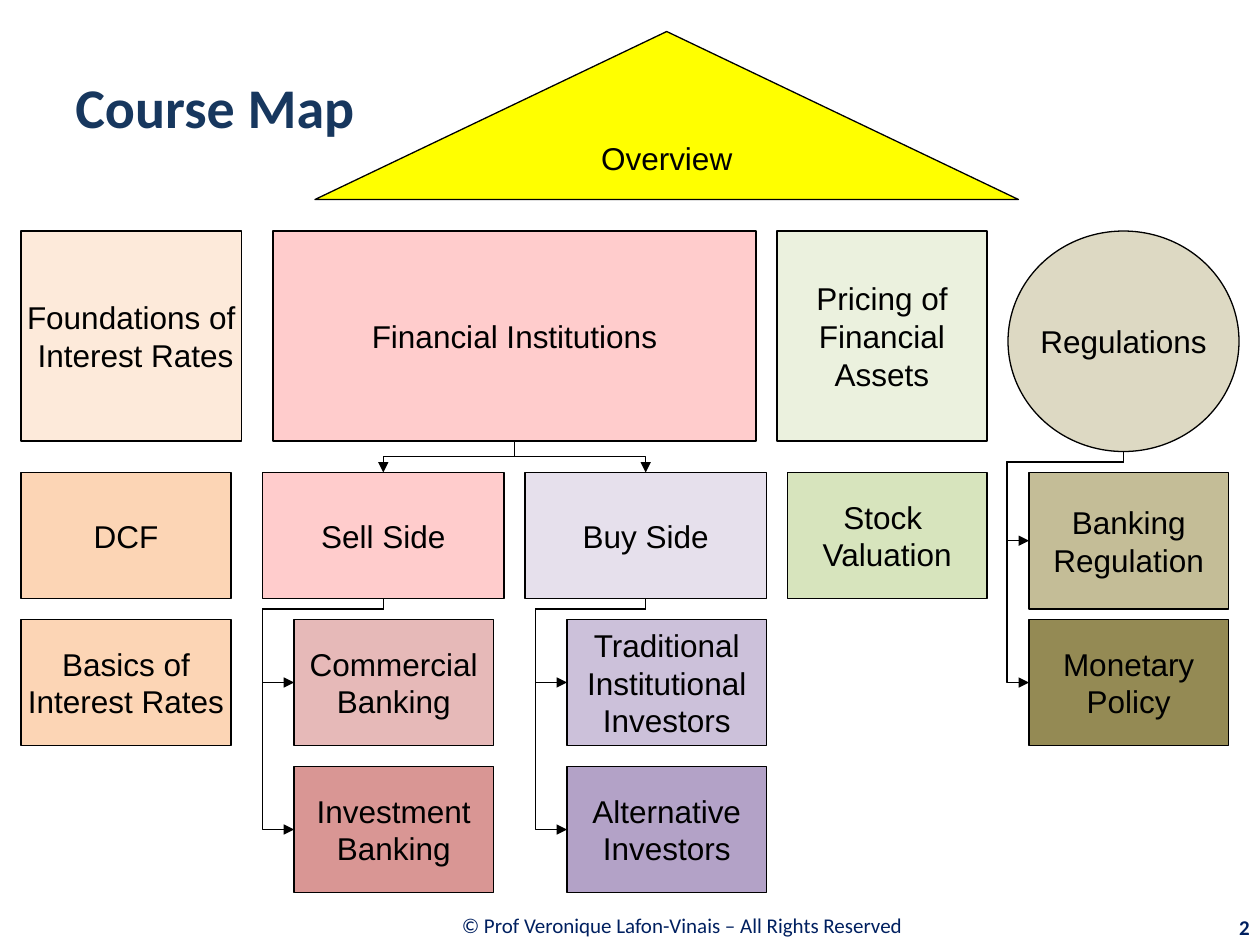
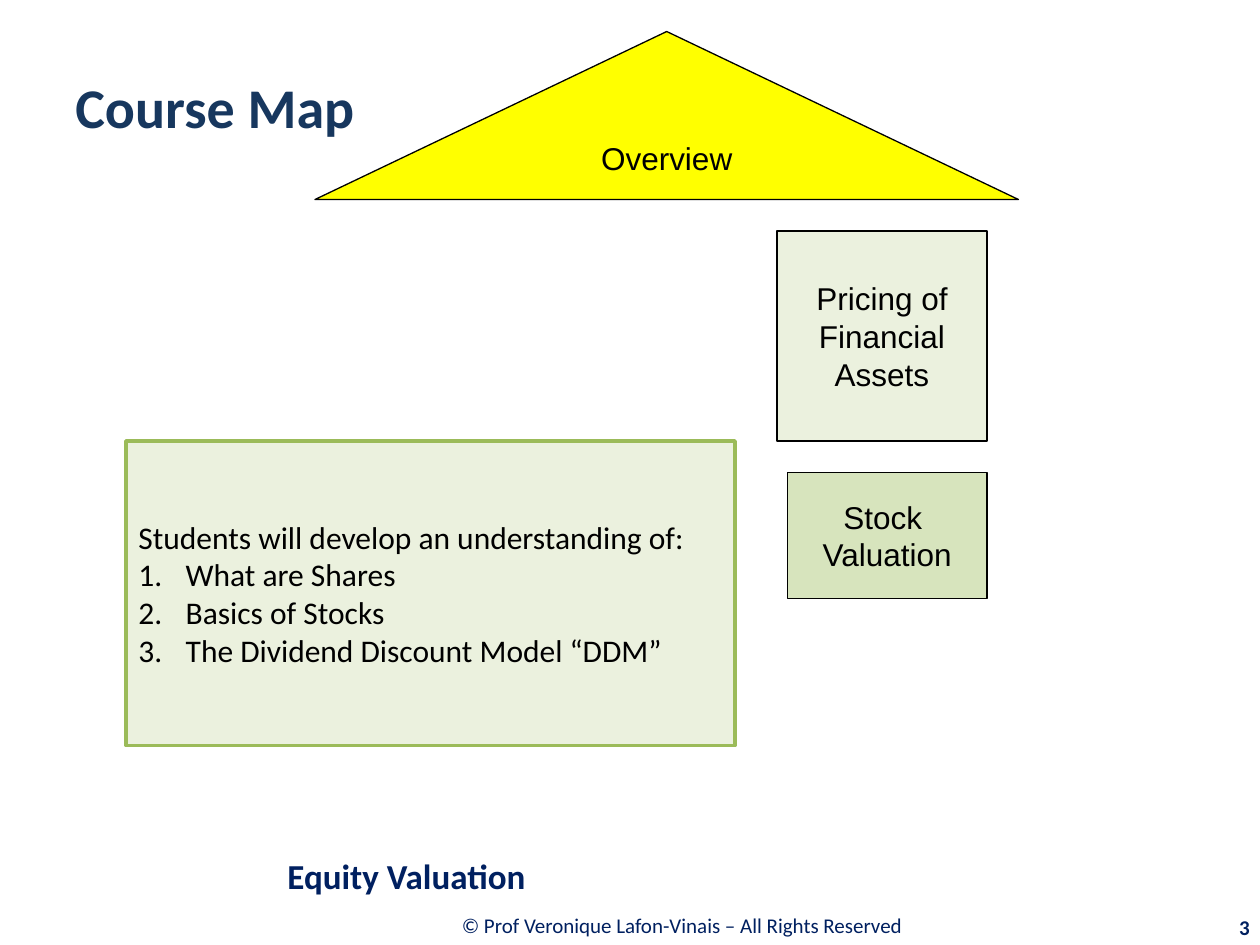
from lxml.etree import SubElement
from pptx import Presentation
from pptx.dml.color import RGBColor
from pptx.enum.shapes import MSO_CONNECTOR, MSO_SHAPE
from pptx.enum.text import MSO_ANCHOR, PP_ALIGN
from pptx.oxml.ns import qn
from pptx.util import Pt

PX = 7620  # EMU; 120 px to the inch
PAGE_WIDTH, PAGE_HEIGHT = 1200, 900

BLACK = RGBColor(0x00, 0x00, 0x00)
NAVY = RGBColor(0x00, 0x20, 0x60)
TITLE_BLUE = RGBColor(0x17, 0x37, 0x5E)
YELLOW = RGBColor(0xFF, 0xFF, 0x00)
PINK = RGBColor(0xFF, 0xCC, 0xCC)
ROSE = RGBColor(0xE6, 0xB9, 0xB8)
DARK_ROSE = RGBColor(0xD9, 0x96, 0x94)
PALE_LILAC = RGBColor(0xE6, 0xE0, 0xEC)
LILAC = RGBColor(0xCC, 0xC1, 0xDA)
PURPLE = RGBColor(0xB3, 0xA2, 0xC7)
PALE_ORANGE = RGBColor(0xFD, 0xEA, 0xDA)
ORANGE = RGBColor(0xFC, 0xD5, 0xB5)
PALE_GREEN = RGBColor(0xEB, 0xF1, 0xDE)
LIGHT_GREEN = RGBColor(0xD7, 0xE4, 0xBD)
GREEN = RGBColor(0x9B, 0xBB, 0x59)
PALE_TAN = RGBColor(0xDD, 0xD9, 0xC3)
TAN = RGBColor(0xC4, 0xBD, 0x97)
DARK_TAN = RGBColor(0x94, 0x8A, 0x54)

# Rows shared by the columns of the map
HEAD_TOP, SIDE_TOP, FIRST_TOP, SECOND_TOP = 220, 450, 590, 730
ROW_HEIGHT, HEAD_HEIGHT = 120, 200
LEAF_WIDTH = 190
NUMBER_INDENT = 45


def write(frame, text, font="Calibri", size=18, color=BLACK, bold=False,
          align=PP_ALIGN.LEFT, wrap=True, numbered_from=None):
    """Fill a frame, one paragraph a line; number those from numbered_from on."""
    frame.word_wrap = wrap
    frame.vertical_anchor = MSO_ANCHOR.MIDDLE
    for index, line in enumerate(text.split("\n")):
        para = frame.paragraphs[0] if index == 0 else frame.add_paragraph()
        para.alignment = align
        span = para.add_run()
        span.text = line
        span.font.name = font
        span.font.size = Pt(size)
        span.font.bold = bold
        span.font.color.rgb = color
        if numbered_from is not None and index >= numbered_from:
            properties = para._p.get_or_add_pPr()
            properties.set("marL", str(NUMBER_INDENT * PX))
            properties.set("indent", str(-NUMBER_INDENT * PX))
            SubElement(properties, qn("a:buAutoNum"), type="arabicPeriod")


class CourseDeck:
    def __init__(self):
        self.deck = Presentation()
        self.deck.slide_width = PAGE_WIDTH * PX
        self.deck.slide_height = PAGE_HEIGHT * PX
        self.page = None

    def new_page(self, number):
        """Start a slide with the title, footer, number and shared blocks."""
        self.page = self.deck.slides.add_slide(self.deck.slide_layouts[6])
        self.label("© Prof Veronique Lafon-Vinais – All Rights Reserved ",
                   263, 858, 778, 47, size=12, color=NAVY, align=PP_ALIGN.CENTER)
        self.label("Course Map", 60, 16, 310, 170, size=32, color=TITLE_BLUE, bold=True)
        self.label(str(number), 1081, 864, 121, 38, size=12, color=NAVY, bold=True,
                   align=PP_ALIGN.RIGHT)
        self.block("Overview", 300, 30, 670, 160, YELLOW, kind=MSO_SHAPE.FLOWCHART_EXTRACT)
        self.block("Pricing of Financial Assets", 740, HEAD_TOP, 200, HEAD_HEIGHT,
                   PALE_GREEN, wrap=True)
        self.block("Stock \nValuation", 750, SIDE_TOP, LEAF_WIDTH, ROW_HEIGHT, LIGHT_GREEN)

    def label(self, text, left, top, width, height, **style):
        box = self.page.shapes.add_textbox(left * PX, top * PX, width * PX, height * PX)
        write(box.text_frame, text, **style)

    def shape(self, left, top, width, height, fill, line, weight, kind):
        box = self.page.shapes.add_shape(kind, left * PX, top * PX, width * PX, height * PX)
        box.shadow.inherit = False
        box.fill.solid()
        box.fill.fore_color.rgb = fill
        box.line.color.rgb = line
        box.line.width = Pt(weight)
        return box

    def block(self, text, left, top, width, height, fill,
              kind=MSO_SHAPE.RECTANGLE, wrap=False):
        box = self.shape(left, top, width, height, fill, BLACK, 0.75, kind)
        write(box.text_frame, text, font="Arial", align=PP_ALIGN.CENTER, wrap=wrap)
        return box

    def leaf(self, text, left, top, fill, height=ROW_HEIGHT):
        return self.block(text, left, top, LEAF_WIDTH, height, fill, wrap=True)

    def panel(self, text, left, top, width, height, fill, line, **style):
        box = self.shape(left, top, width, height, fill, line, 2, MSO_SHAPE.RECTANGLE)
        write(box.text_frame, text, **style)

    def split(self, parent, children):
        """Lead arrows from below the parent to the top of each child."""
        for child in children:
            self.elbow(parent, child.left + child.width // 2, child.top,
                       "bentConnector3", lambda across, down: [0.5])

    def branch(self, parent, children, lane, drop=10):
        """Lead arrows down a lane left of the children and into their sides."""
        start = parent.left + parent.width // 2
        for child in children:
            self.elbow(parent, child.left, child.top + child.height // 2, "bentConnector4",
                       lambda across, down: [drop * PX / down, (start - lane * PX) / across])

    def elbow(self, parent, end_x, end_y, preset, bends):
        """Draw a bent arrow that leaves the parent downwards, as a turned preset."""
        start_x = parent.left + parent.width // 2
        start_y = parent.top + parent.height
        across, down = abs(end_x - start_x), end_y - start_y
        left = (start_x + end_x - down) // 2
        top = (start_y + end_y - across) // 2
        arrow = self.page.shapes.add_connector(
            MSO_CONNECTOR.ELBOW, left, top, left + down, top + across)
        arrow.line.color.rgb = BLACK
        arrow.line.width = Pt(0.75)

        properties = arrow._element.spPr
        frame = properties.find(qn("a:xfrm"))
        to_right = end_x > start_x
        frame.set("rot", str((270 if to_right else 90) * 60000))
        if to_right:
            frame.set("flipH", "1")
        geometry = properties.find(qn("a:prstGeom"))
        geometry.set("prst", preset)
        guides = geometry.find(qn("a:avLst"))
        for index, bend in enumerate(bends(across, down), 1):
            SubElement(guides, qn("a:gd"), name=f"adj{index}",
                       fmla=f"val {round(bend * 100000)}")
        SubElement(properties.find(qn("a:ln")), qn("a:tailEnd"), type="triangle")
        SubElement(properties, qn("a:effectLst"))


def add_full_map(course):
    course.new_page(2)
    course.block("Foundations of\n Interest Rates", 20, HEAD_TOP, 210, HEAD_HEIGHT, PALE_ORANGE)
    for text, top in (("DCF", SIDE_TOP), ("Basics of\nInterest Rates", FIRST_TOP)):
        course.block(text, 20, top, 200, ROW_HEIGHT, ORANGE)

    institutions = course.block("Financial Institutions", 260, HEAD_TOP, 460, HEAD_HEIGHT, PINK)
    sides = []
    for name, left, fill, leaf_left, lane, leaves in (
        ("Sell Side", 250, PINK, 280, 250,
         (("Commercial Banking", ROSE), ("Investment Banking", DARK_ROSE))),
        ("Buy Side", 500, PALE_LILAC, 540, 510,
         (("Traditional Institutional Investors", LILAC), ("Alternative Investors", PURPLE))),
    ):
        side = course.block(name, left, SIDE_TOP, 230, ROW_HEIGHT, fill)
        boxes = [course.leaf(text, leaf_left, top, leaf_fill)
                 for (text, leaf_fill), top in zip(leaves, (FIRST_TOP, SECOND_TOP))]
        course.branch(side, boxes, lane)
        sides.append(side)
    course.split(institutions, sides)

    regulations = course.block("Regulations", 960, HEAD_TOP, 220, 210, PALE_TAN,
                               kind=MSO_SHAPE.OVAL)
    rules = [course.leaf("Banking Regulation", 980, SIDE_TOP, TAN, height=130),
             course.leaf("Monetary Policy", 980, FIRST_TOP, DARK_TAN)]
    course.branch(regulations, rules, 959)


def add_equity_page(course):
    course.new_page(3)
    course.panel("Students will develop an understanding of:\nWhat are Shares\n"
                 "Basics of Stocks\nThe Dividend Discount Model “DDM”",
                 120, 420, 580, 290, PALE_GREEN, GREEN, numbered_from=1)
    course.label("Equity Valuation", 262, 806, 938, 56, size=20, color=NAVY, bold=True)


def main():
    course = CourseDeck()
    add_full_map(course)
    add_equity_page(course)
    course.deck.save("out.pptx")


if __name__ == "__main__":
    main()
